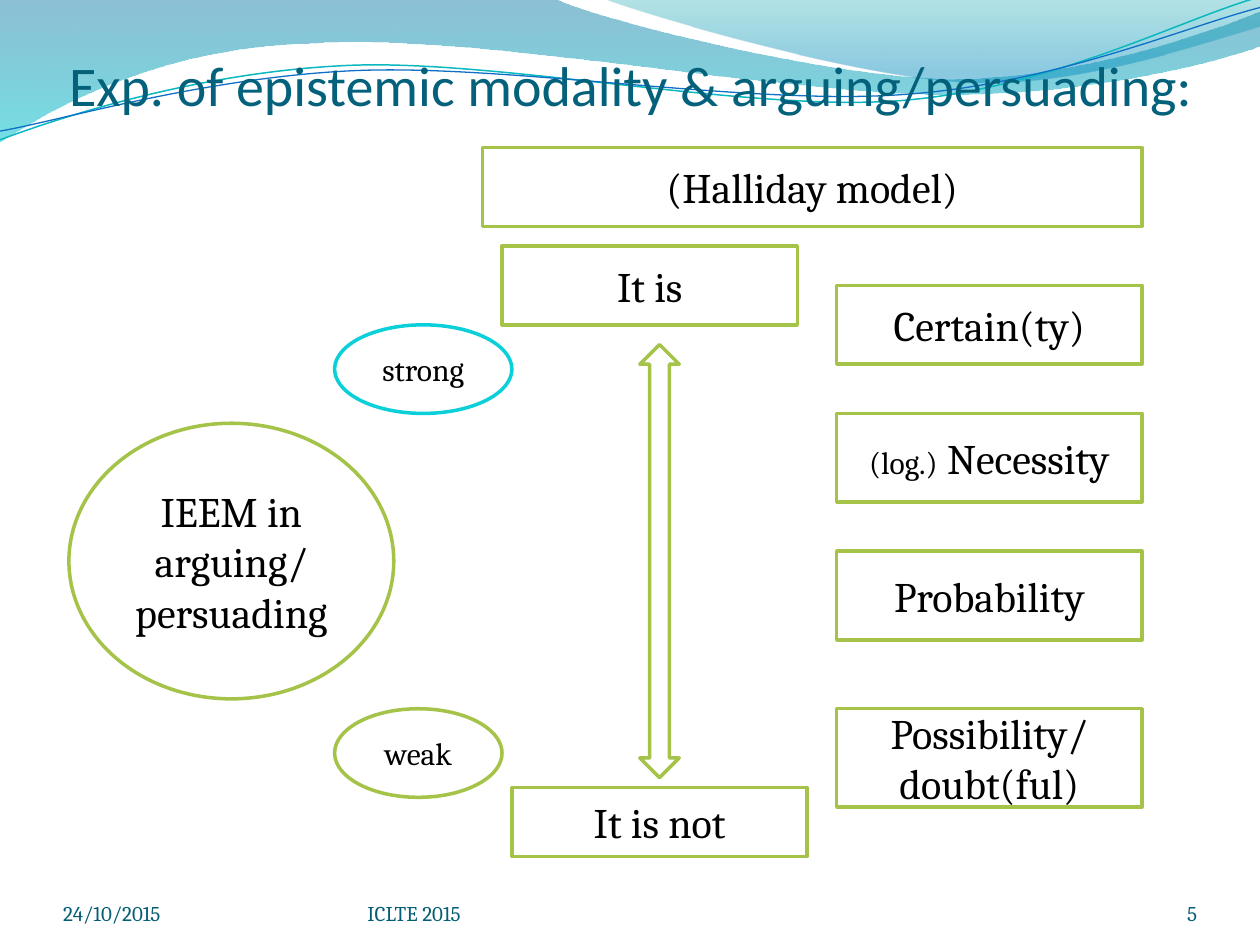
from lxml import etree
from pptx import Presentation
from pptx.dml.color import RGBColor
from pptx.enum.shapes import MSO_SHAPE
from pptx.enum.text import MSO_ANCHOR, PP_ALIGN
from pptx.oxml.ns import qn
from pptx.util import Pt

RECT, OVAL = MSO_SHAPE.RECTANGLE, MSO_SHAPE.OVAL
ARROW = MSO_SHAPE.UP_DOWN_ARROW
LEFT, CENTER, RIGHT = PP_ALIGN.LEFT, PP_ALIGN.CENTER, PP_ALIGN.RIGHT
MIDDLE, BOTTOM = MSO_ANCHOR.MIDDLE, MSO_ANCHOR.BOTTOM

WHITE = RGBColor(0xFF, 0xFF, 0xFF)
BLACK = RGBColor(0x00, 0x00, 0x00)
GREEN = RGBColor(0xA5, 0xC2, 0x49)
CYAN = RGBColor(0x0B, 0xD0, 0xD9)
TITLE_TEAL = RGBColor(0x04, 0x61, 0x7B)
FOOTER_TEAL = RGBColor(0x04, 0x5D, 0x75)
WAVE_TEAL = RGBColor(0x0A, 0xB8, 0xBF)
WAVE_BLUE = RGBColor(0x0F, 0x6F, 0xC6)

# Waves: a start point, then line ends (2 numbers) or Bezier curves (6 numbers)
LEFT_WAVE = [(0, 0), (317, -0.7),
             (343, 12, 478, 45, 546, 45), (614, 45, 690, 19, 720, 6.5),
             (720.7, 26),
             (708, 32, 626, 55, 537, 54), (448, 54, 275, 20, 185, 24.5),
             (93, 26, 33, 60, -0.7, 81.4)]
RIGHT_WAVE = [(345, -0.7), (366.5, 8, 491, 44.6, 553.7, 46.8),
              (616.3, 49.7, 692, 23, 720, 15), (720, 0)]
TEAL_CURVE = [(0, 79.9), (34.6, 67, 113.8, 41, 199.4, 37.4),
              (284.4, 33.8, 427, 64, 513.4, 57.6),
              (599.8, 51.1, 675.4, 10.8, 718.6, -1.4)]
BLUE_CURVE = [(0, 74.9), (33.8, 69.1, 118, 43.9, 203.8, 40.3),
              (290.2, 36.7, 429.8, 60.5, 516.2, 54),
              (601.9, 48.2, 677.5, 15.1, 720, 4.3)]
LEFT_STOPS = [(0, RGBColor(0x00, 0x74, 0xA1), 45),
              (1, RGBColor(0x00, 0xC6, 0xCF), 55)]
RIGHT_STOPS = [(0, RGBColor(0x00, 0xA1, 0xA9), 30),
               (0.8, RGBColor(0x00, 0x8B, 0xBF), 45)]

SCALE_LEFT, SCALE_WIDTH = 478.13, 174.38


def add_outline(page, segments, closed):
    """Freeform through the segments, with true Bezier curves."""
    points = [(Pt(x), Pt(y)) for segment in segments
              for x, y in zip(segment[::2], segment[1::2])]
    builder = page.shapes.build_freeform(*points[0])
    builder.add_line_segments(points[1:], close=closed)
    outline = builder.convert_to_shape()
    outline.shadow.inherit = False

    # Join each three steps of a curve into one cubic segment
    steps = iter(list(outline.element.iter(qn("a:lnTo"))))
    for segment in segments[1:]:
        curve = next(steps)
        if len(segment) == 6:
            curve.tag = qn("a:cubicBezTo")
            for step in (next(steps), next(steps)):
                curve.append(step[0])
                step.getparent().remove(step)
    return outline


def add_wave(page, segments, stops):
    wave = add_outline(page, segments, True)
    wave.line.fill.background()
    wave.fill.gradient()
    wave.fill.gradient_angle = 270
    nodes = wave.element.iter(qn("a:gs"))
    for stop, node, values in zip(wave.fill.gradient_stops, nodes, stops):
        stop.position, stop.color.rgb, opacity = values
        etree.SubElement(node[0], qn("a:alpha"), val=str(opacity * 1000))


def add_curve(page, segments, color, width):
    curve = add_outline(page, segments, False)
    curve.fill.background()
    curve.line.color.rgb = color
    curve.line.width = Pt(width)


def write(para, spans, color, font="Cambria", align=CENTER):
    para.alignment = align
    for text, size in spans:
        span = para.add_run()
        span.text = text
        span.font.size = Pt(size)
        span.font.name = font
        span.font.color.rgb = color


def set_frame(frame, anchor, *margins):
    frame.word_wrap = True
    frame.vertical_anchor = anchor
    if margins:
        (frame.margin_left, frame.margin_top,
         frame.margin_right, frame.margin_bottom) = map(Pt, margins)


def add_node(page, kind, place, lines=(), line_color=GREEN):
    """Outlined shape; each line is a list of (text, size) spans."""
    node = page.shapes.add_shape(kind, *map(Pt, place))
    node.shadow.inherit = False
    node.fill.solid()
    node.fill.fore_color.rgb = WHITE
    node.line.color.rgb = line_color
    node.line.width = Pt(2)
    frame = node.text_frame
    set_frame(frame, MIDDLE)
    for number, spans in enumerate(lines):
        para = frame.add_paragraph() if number else frame.paragraphs[0]
        write(para, spans, BLACK)


def add_footer(page, left, width, text, align=LEFT):
    box = page.shapes.add_textbox(Pt(left), Pt(500.4), Pt(width), Pt(28.8))
    set_frame(box.text_frame, BOTTOM, 0, 0, 0, 0)
    write(box.text_frame.paragraphs[0], [(text, 12)], FOOTER_TEAL, align=align)


def add_title(page, text):
    title = page.shapes.title
    title.left, title.top, title.width, title.height = map(Pt, (33.8, 27.8, 653.8, 39.6))
    set_frame(title.text_frame, BOTTOM, 0, 3.6, 0, 0)
    write(title.text_frame.paragraphs[0], [(text, 32)], TITLE_TEAL, "Calibri")
    # Bring the title in front of the waves
    title.element.getparent().append(title.element)


def main():
    deck = Presentation()
    deck.slide_width, deck.slide_height = Pt(720), Pt(540)
    page = deck.slides.add_slide(deck.slide_layouts[5])

    # Header waves and title
    add_wave(page, LEFT_WAVE, LEFT_STOPS)
    add_wave(page, RIGHT_WAVE, RIGHT_STOPS)
    add_curve(page, TEAL_CURVE, WAVE_TEAL, 0.85)
    add_curve(page, BLUE_CURVE, WAVE_BLUE, 0.75)
    add_title(page, "Exp. of epistemic modality & arguing/persuading:")

    # Model name and the two poles joined by the arrow
    add_node(page, RECT, (275.63, 84.38, 376.88, 45), [[("(Halliday model)", 24)]])
    add_node(page, RECT, (286.88, 140.63, 168.75, 45), [[("It is", 24)]])
    add_node(page, RECT, (292.5, 450, 168.75, 39.38), [[("It is not", 24)]])
    add_node(page, ARROW, (365.63, 196.88, 22.5, 247.5))

    # Scale of modality
    scale = [(163.13, 45, [[("Certain(ty)", 24)]]),
             (236.25, 50.63, [[("(log.)", 18), (" Necessity", 24)]]),
             (315, 50.63, [[("Probability", 24)]]),
             (405, 56.25, [[("Possibility/", 24)], [("doubt(ful)", 24)]])]
    for top, height, lines in scale:
        add_node(page, RECT, (SCALE_LEFT, top, SCALE_WIDTH, height), lines)

    # Topic and its strengths
    add_node(page, OVAL, (39.38, 241.88, 185.63, 157.5),
             [[("IEEM in arguing/ persuading", 24)]])
    add_node(page, OVAL, (191.25, 185.63, 101.25, 50.63), [[("strong", 18)]], CYAN)
    add_node(page, OVAL, (191.25, 405, 95.63, 50.63), [[("weak", 18)]])

    # Footer
    add_footer(page, 36, 168, "24/10/2015")
    add_footer(page, 210, 264, "ICLTE 2015")
    add_footer(page, 624, 60, "5", RIGHT)

    deck.save("out.pptx")


main()
